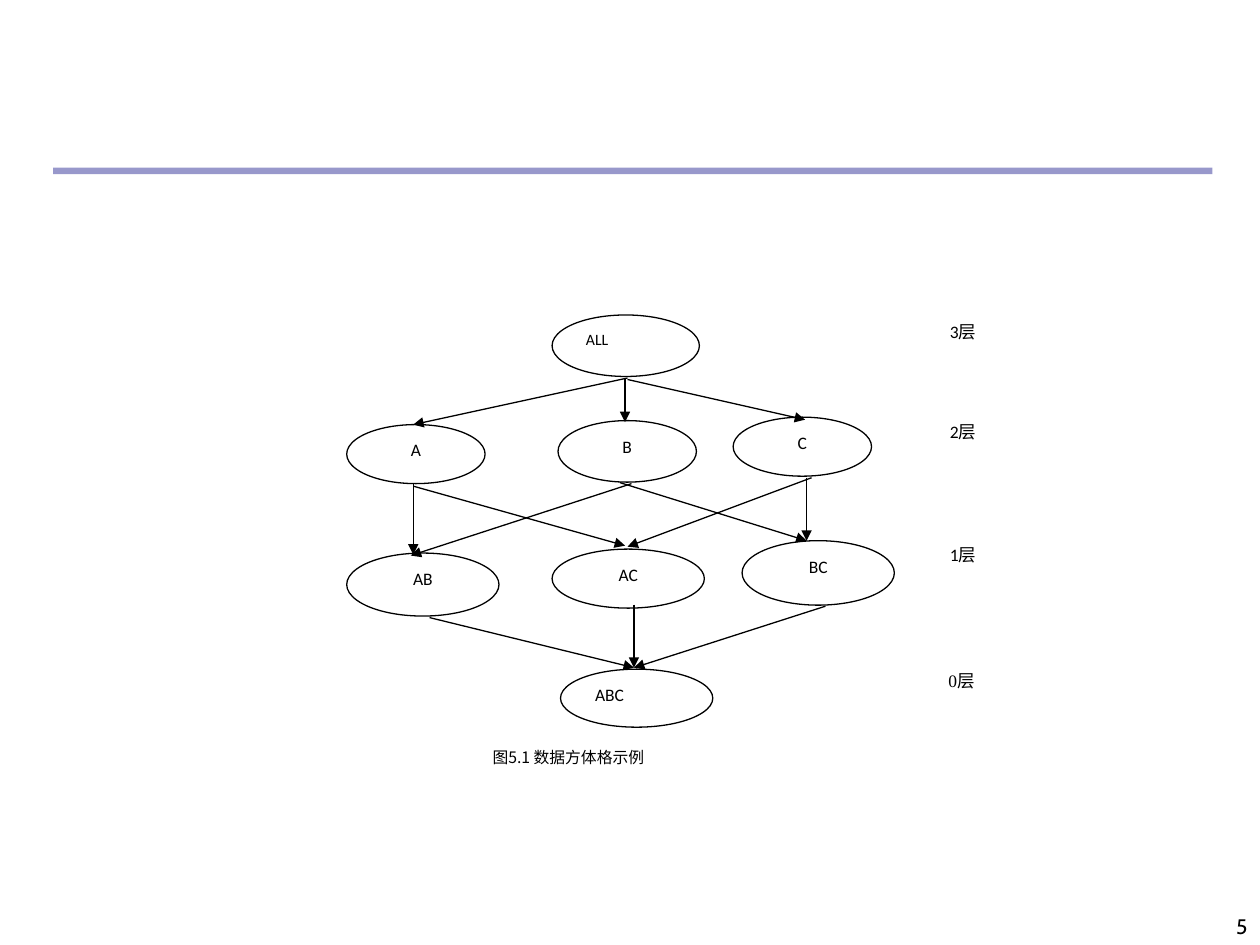
from dataclasses import dataclass

from lxml.etree import SubElement
from pptx import Presentation
from pptx.dml.color import RGBColor
from pptx.enum.shapes import MSO_CONNECTOR, MSO_SHAPE
from pptx.enum.text import MSO_ANCHOR, PP_ALIGN
from pptx.oxml.ns import qn
from pptx.util import Cm, Pt


@dataclass(frozen=True)
class Theme:
    ink: RGBColor = RGBColor(0, 0, 0)
    paper: RGBColor = RGBColor(255, 255, 255)
    rule: RGBColor = RGBColor(0x33, 0x33, 0x99)
    rule_alpha: int = 50
    latin: str = "Calibri"
    digit: str = "Times New Roman"
    cjk: str = "Noto Sans CJK SC"
    number: str = "Cabin"
    small: int = 9
    body: int = 10
    page: int = 12
    line: float = 0.75


class Diagram:
    def __init__(self, s, theme):
        self.s = s
        self.t = theme

    def text(self, sp, text, size, font, align, anchor=MSO_ANCHOR.TOP):
        tf = sp.text_frame
        tf.word_wrap = True
        tf.vertical_anchor = anchor
        p = tf.paragraphs[0]
        p.alignment = align
        p.font.size = Pt(size)
        p.font.name = font
        p.font.color.rgb = self.t.ink
        p.add_run().text = text
        return p

    def shape(self, kind, box, fill):
        sp = self.s.shapes.add_shape(kind, *map(Cm, box))
        sp.shadow.inherit = False
        sp.fill.solid()
        sp.fill.fore_color.rgb = fill
        sp.line.fill.background()
        return sp

    def rule(self, box):
        sp = self.shape(MSO_SHAPE.RECTANGLE, box, self.t.rule)
        color = sp.fill._xPr.find(qn("a:solidFill"))[0]
        SubElement(color, qn("a:alpha"), val=str(self.t.rule_alpha * 1000))

    def node(self, text, box, size, align):
        sp = self.shape(MSO_SHAPE.OVAL, box, self.t.paper)
        sp.line.color.rgb = self.t.ink
        sp.line.width = Pt(self.t.line)
        self.text(sp, text, size, self.t.latin, align)

    def label(self, text, box, size, font):
        sp = self.shape(MSO_SHAPE.RECTANGLE, box, self.t.paper)
        return self.text(sp, text, size, font, PP_ALIGN.JUSTIFY)

    def arrow(self, start, tip):
        c = self.s.shapes.add_connector(MSO_CONNECTOR.STRAIGHT, *map(Cm, start + tip))
        c.line.color.rgb = self.t.ink
        c.line.width = Pt(self.t.line)
        SubElement(c.line._get_or_add_ln(), qn("a:tailEnd"), type="triangle")
        SubElement(c._element.spPr, qn("a:effectLst"))

    def page_number(self, text, box):
        sp = self.s.shapes.add_textbox(*map(Cm, box))
        self.text(sp, text, self.t.page, self.t.number, PP_ALIGN.RIGHT, MSO_ANCHOR.BOTTOM)


NODES = [
    ("ALL", (11.13, 6.35, 2.97, 1.24)),
    ("A", (6.99, 8.56, 2.79, 1.19)),
    ("B", (11.25, 8.48, 2.79, 1.24)),
    ("C", (14.78, 8.41, 2.79, 1.19)),
    ("AB", (6.99, 11.15, 3.07, 1.27)),
    ("AC", (11.13, 11.07, 3.07, 1.19)),
    ("BC", (14.96, 10.9, 3.07, 1.3)),
    ("ABC", (11.3, 13.49, 3.07, 1.17)),
]

ARROWS = [
    # ALL to A, B, C
    ((12.65, 7.62), (8.33, 8.56)),
    ((12.6, 7.62), (12.6, 8.51)),
    ((12.65, 7.65), (16.23, 8.46)),
    # A, B, C to the pairs
    ((8.33, 9.75), (8.33, 11.18)),
    ((8.33, 9.8), (12.6, 11)),
    ((12.73, 9.75), (8.28, 11.2)),
    ((12.5, 9.73), (16.26, 10.9)),
    ((16.36, 9.63), (12.65, 11.02)),
    ((16.26, 9.63), (16.26, 10.9)),
    # pairs to ABC
    ((8.66, 12.45), (12.78, 13.46)),
    ((12.78, 12.19), (12.78, 13.46)),
    ((16.64, 12.22), (12.78, 13.46)),
]

LEVELS = [
    ("3层", (18.9, 6.35, 3.2, 1.09)),
    ("2层", (18.9, 8.36, 3.33, 1.12)),
    ("1层", (18.9, 10.85, 3.48, 1.09)),
]


def main():
    prs = Presentation()
    prs.slide_width, prs.slide_height = Cm(25.4), Cm(19.05)
    t = Theme()
    d = Diagram(prs.slides.add_slide(prs.slide_layouts[6]), t)

    d.rule((1.07, 3.38, 23.37, 0.13))
    d.page_number("5", (20.12, 17.78, 5.28, 1.27))
    for text, box in NODES:
        size = t.small if text == "ALL" else t.body
        align = PP_ALIGN.JUSTIFY if len(text) == 3 else PP_ALIGN.CENTER
        d.node(text, box, size, align)
    for start, tip in ARROWS:
        d.arrow(start, tip)
    for text, box in LEVELS:
        d.label(text, box, t.body, t.latin)

    p = d.label("0", (18.87, 13.39, 3.58, 1.04), t.body, t.latin)
    p.runs[0].font.name = t.digit
    p.add_run().text = "层"
    d.label("图5.1 数据方体格示例", (9.68, 14.94, 6.96, 1.17), t.small, t.cjk)

    prs.save("out.pptx")


if __name__ == "__main__":
    main()
